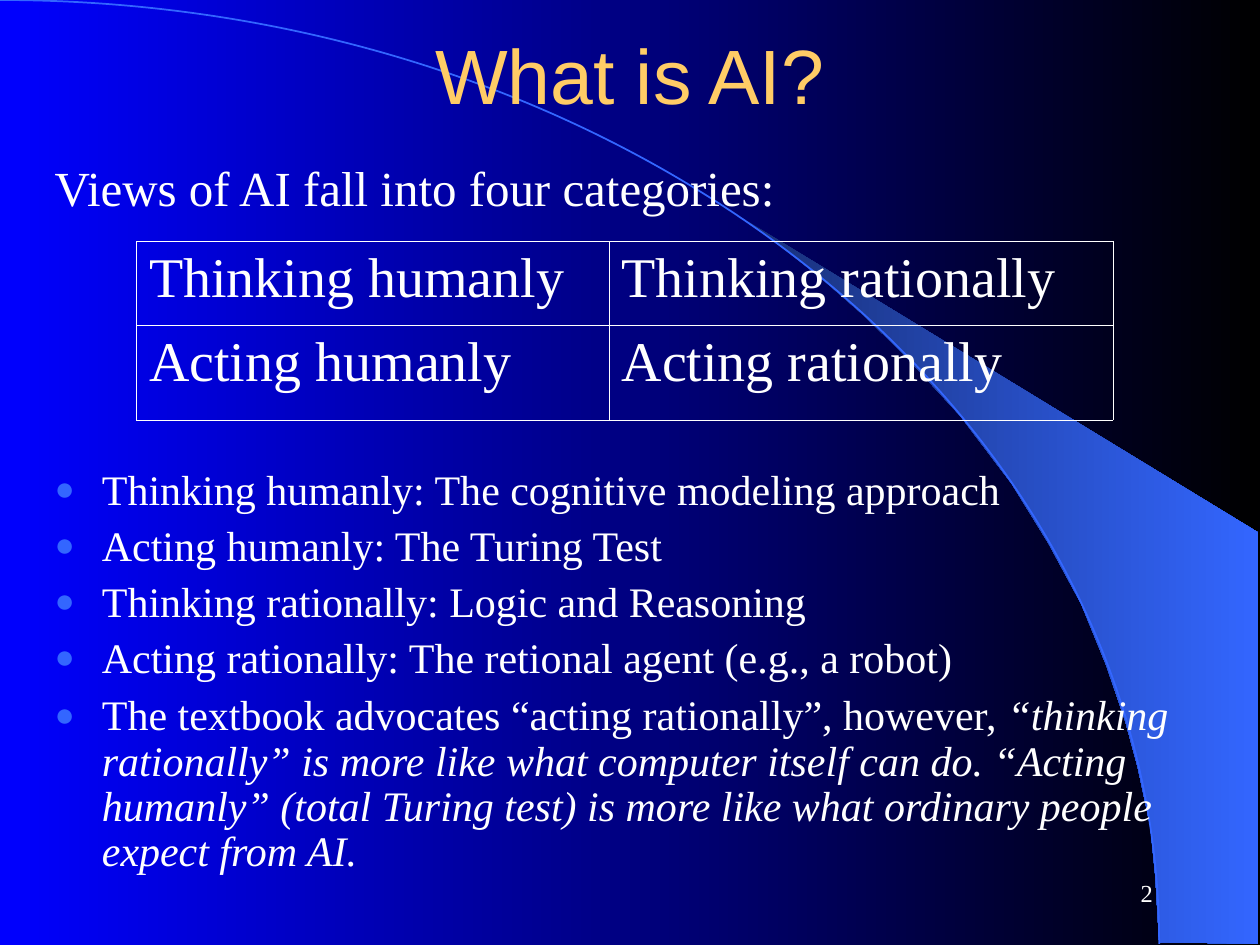
from dataclasses import dataclass

from lxml import etree
from pptx import Presentation
from pptx import util as u
from pptx.dml.color import RGBColor
from pptx.enum import text
from pptx.oxml import ns

# Outline of the light beam: its outer corners, then its curved inner edge
BEAM = [
    (9.2, 7.48), (9.99, 7.49), (9.99, 4.23), (5.89, 1.73), (6.24, 1.99),
    (6.53, 2.22), (6.85, 2.5), (7.16, 2.8), (7.62, 3.3), (8.03, 3.84),
    (8.32, 4.31), (8.58, 4.79), (8.78, 5.28), (8.93, 5.72), (9.03, 6.09),
    (9.13, 6.56), (9.17, 6.96),
]
# Start, two handles and end of the rim curve
RIM = [(0, 0), (5.08, 0), (9.2, 3.35), (9.2, 7.49)]


@dataclass(frozen=True)
class Theme:
    white: str = "FFFFFF"
    gold: str = "FFCC66"
    blue: str = "3366FF"
    navy: str = "182F76"
    glow: tuple = ("0000FF", "000000")
    sans: str = "Arial"
    serif: str = "Times New Roman"
    head: int = 44
    cell: int = 32
    lead: int = 28
    item: int = 24
    foot: int = 14


def shade(fill, pair):
    """Fill with a left-to-right gradient between two colours."""
    fill.gradient()
    fill.gradient_angle = 0
    for stop, tone, pos in zip(fill.gradient_stops, pair, (0, 1)):
        stop.color.rgb = RGBColor.from_string(tone)
        stop.position = pos


def add(node, tag, **attrs):
    return etree.SubElement(node, ns.qn(tag), **attrs)


class Deck:
    def __init__(self, theme):
        self.theme = theme
        self.show = Presentation()
        self.show.slide_width, self.show.slide_height = u.Inches(10), u.Inches(7.5)
        self.slide = self.show.slides.add_slide(self.show.slide_layouts[1])
        shade(self.slide.background.fill, theme.glow)

    def place(self, shape, box):
        shape.left, shape.top, shape.width, shape.height = map(u.Inches, box)
        frame = shape.text_frame
        frame.word_wrap = True
        frame.auto_size = text.MSO_AUTO_SIZE.NONE
        return frame

    def run(self, para, words, size, font=None, tone=None, slant=False):
        run = para.add_run()
        run.text = words
        run.font.size = u.Pt(size)
        run.font.name = font or self.theme.serif
        run.font.color.rgb = RGBColor.from_string(tone or self.theme.white)
        run.font.italic = slant

    def outline(self, points, close):
        pen = self.slide.shapes.build_freeform(
            *map(u.Inches, points[0]), scale=1.0)
        pen.add_line_segments(
            [tuple(map(u.Inches, p)) for p in points[1:]], close=close)
        shape = pen.convert_to_shape()
        shape.shadow.inherit = False
        return shape

    def beam(self, points):
        shape = self.outline(points, True)
        shade(shape.fill, (self.theme.navy, self.theme.blue))
        shape.line.fill.background()

    def rim(self, points):
        """Draw a Bezier line; its first and last points span its frame."""
        shape = self.outline([points[0], points[-1]], False)
        line = shape._element.find(".//" + ns.qn("a:lnTo"))
        bend = etree.Element(ns.qn("a:cubicBezTo"))
        for x, y in points[1:]:
            add(bend, "a:pt", x=str(u.Inches(x)), y=str(u.Inches(y)))
        line.getparent().replace(line, bend)
        shape.fill.background()
        shape.line.color.rgb = RGBColor.from_string(self.theme.blue)
        shape.line.width = u.Pt(1)

    def title(self, words, box):
        frame = self.place(self.slide.shapes.title, box)
        frame.vertical_anchor = text.MSO_ANCHOR.MIDDLE
        para = frame.paragraphs[0]
        para.alignment = text.PP_ALIGN.CENTER
        self.run(para, words, self.theme.head, self.theme.sans, self.theme.gold)

    def bullet(self, para, mark):
        """Hang the paragraph, with a blue dot when mark is true."""
        props = para._p.get_or_add_pPr()
        hang = u.Inches(0.375)
        props.set("marL", str(hang))
        props.set("indent", str(-hang))
        if not mark:
            add(props, "a:buNone")
            return
        add(add(props, "a:buClr"), "a:srgbClr", val=self.theme.blue)
        add(props, "a:buSzPct", val="80000")
        add(props, "a:buFont", typeface=self.theme.serif)
        add(props, "a:buChar", char="●")

    def body(self, lead, items, box):
        """Write a lead line, then bullets of (space before, plain, slanted)."""
        frame = self.place(self.slide.placeholders[1], box)
        para = frame.paragraphs[0]
        para.line_spacing = 0.9
        para.space_before = u.Pt(0)
        self.bullet(para, False)
        self.run(para, lead, self.theme.lead)
        for gap, plain, slant in items:
            para = frame.add_paragraph()
            para.line_spacing = 0.9
            para.space_before = u.Pt(gap)
            self.bullet(para, True)
            self.run(para, plain, self.theme.item)
            if slant:
                self.run(para, slant, self.theme.item, slant=True)

    def border(self, cell):
        props = cell._tc.get_or_add_tcPr()
        for i, side in enumerate(("a:lnL", "a:lnR", "a:lnT", "a:lnB")):
            line = etree.Element(ns.qn(side), w=str(u.Pt(0.45)))
            add(add(line, "a:solidFill"), "a:srgbClr", val=self.theme.white)
            props.insert(i, line)

    def table(self, rows, spot, wide, high):
        size = (sum(wide), sum(high))
        grid = self.slide.shapes.add_table(
            len(rows), len(wide), *map(u.Inches, spot + size)).table
        grid.first_row = grid.horz_banding = False
        for col, width in zip(grid.columns, wide):
            col.width = u.Inches(width)
        for row, height, words in zip(grid.rows, high, rows):
            row.height = u.Inches(height)
            for cell, word in zip(row.cells, words):
                cell.fill.background()
                self.border(cell)
                self.run(cell.text_frame.paragraphs[0], word, self.theme.cell)

    def number(self, words, box):
        shape = self.slide.shapes.add_textbox(*map(u.Inches, box))
        frame = self.place(shape, box)
        frame.vertical_anchor = text.MSO_ANCHOR.MIDDLE
        para = frame.paragraphs[0]
        para.alignment = text.PP_ALIGN.RIGHT
        self.run(para, words, self.theme.foot)

    def order(self):
        """Bring the title and body in front of the background curves."""
        tree = self.slide.shapes._spTree
        for shape in list(self.slide.placeholders):
            tree.append(shape._element)


def main():
    deck = Deck(Theme())
    deck.beam(BEAM)
    deck.rim(RIM)
    deck.number("2", (86 / 12, 82 / 12, 25 / 12, 0.5))
    deck.title("What is AI?", (0.75, 0.25, 8.5, 8 / 12))
    deck.body(
        "Views of AI fall into four categories:",
        [
            (144.4, "Thinking humanly: The cognitive modeling approach", ""),
            (6, "Acting humanly: The Turing Test", ""),
            (6, "Thinking rationally: Logic and Reasoning", ""),
            (6, "Acting rationally: The retional agent (e.g., a robot)", ""),
            (7, "The textbook advocates “acting rationally”, however, ",
             "“thinking rationally” is more like what computer itself can do. "
             "“Acting humanly” (total Turing test) is more like what ordinary "
             "people expect from AI."),
        ],
        (4 / 12, 1.25, 9.5, 6))
    deck.order()
    deck.table(
        [("Thinking humanly", "Thinking rationally"),
         ("Acting humanly", "Acting rationally")],
        (13 / 12, 23 / 12), (3.75, 4), (8 / 12, 0.75))
    deck.show.save("out.pptx")


if __name__ == "__main__":
    main()
